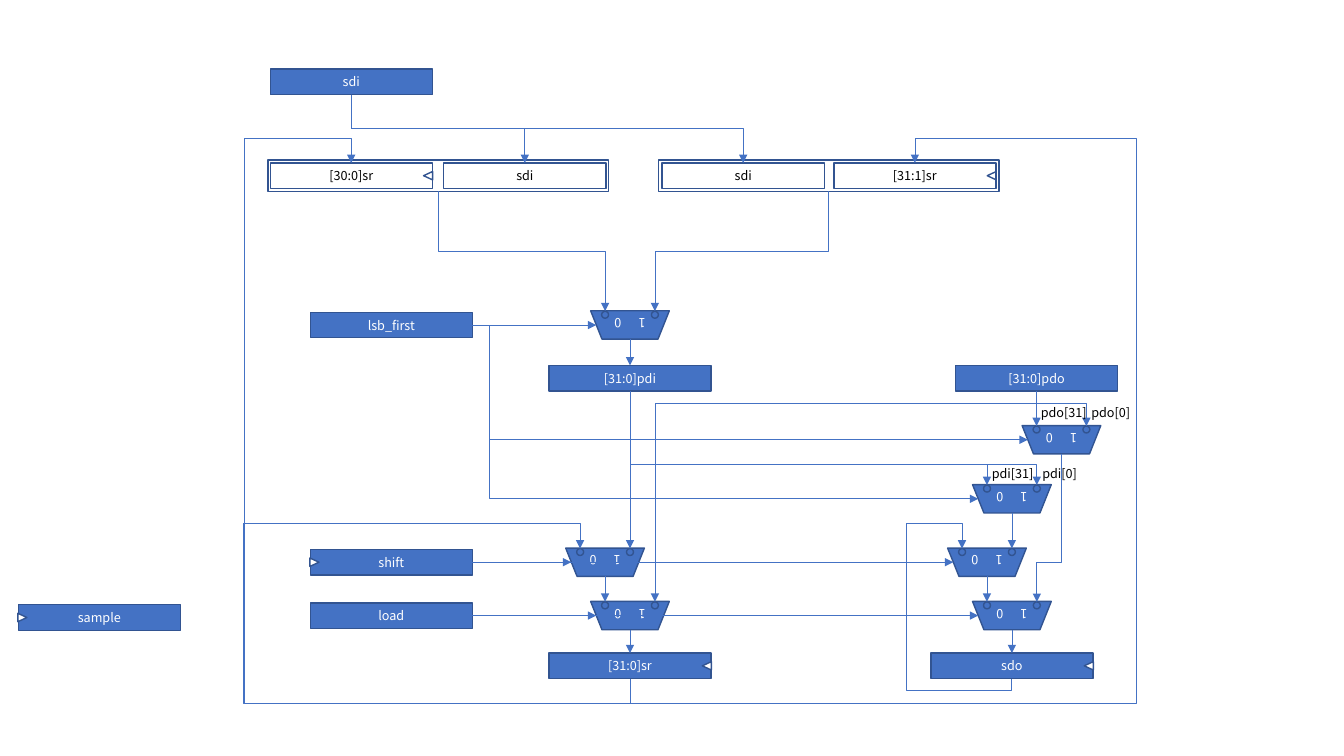
"""Build the shift register block diagram slide."""
from lxml import etree
from pptx import Presentation
from pptx.dml.color import RGBColor
from pptx.enum import shapes, text
from pptx.oxml import ns
from pptx.util import Pt

FONT, SIZE = "Noto Sans CJK KR", 9
BLUE, EDGE, WHITE, BLACK = "4472C4", "325491", "FFFFFF", "000000"
KIND, ALIGN, LINK = shapes.MSO_SHAPE, text.PP_ALIGN, shapes.MSO_CONNECTOR
BOX_W, BOX_H = 115.8, 18.2
MUX_W, MUX_H, PIN, DOT = 56.2, 20.2, 17.8, 5
MARK_W, MARK_H = 6, 6.5

# name: label, left, top, clock mark side
PORTS = {
    "pdo": ("[31:0]pdo", 682.5, 261, None),
    "pdi": ("[31:0]pdi", 392.1, 261, None),
    "lsb": ("lsb_first", 221.6, 223.1, None),
    "load": ("load", 221.6, 430.6, None),
    "shift": ("shift", 221.6, 392.5, "left"),
    "sdo": ("sdo", 664.9, 466.5, "right"),
    "sdi": ("sdi", 193, 49.4, None),
    "sr": ("[31:0]sr", 392.1, 466.5, "right"),
    "sample": ("sample", 13, 432, "left"),
}
PARTS = {
    "low": ("[30:0]sr", 193, 116.4, "right"),
    "last": ("sdi", 317, 116.4, None),
    "first": ("sdi", 473, 116.4, None),
    "high": ("[31:1]sr", 595.6, 116.4, "right"),
}
FRAMES = {"left": (191.4, 114.4), "right": (470.4, 114.4)}
FRAME_W, FRAME_H = 243.2, 22.4
# name: center, top
MUXES = {
    "order": (450, 222),
    "shift": (432.2, 391.5),
    "load": (450, 429.6),
    "keep": (705, 391.5),
    "out": (722.8, 429.6),
    "pdo": (758.2, 304),
    "pdi": (722.8, 346.2),
}
LABELS = [("pdo[31]", 736.4, 285.4), ("pdo[0]", 772.4, 285.4),
          ("pdi[31]", 701.4, 329), ("pdi[0]", 737.4, 329)]


def color(code):
    return RGBColor.from_string(code)


def write(shape, words, ink=WHITE, align=ALIGN.CENTER, inset=7.2, tab=None):
    frame = shape.text_frame
    frame.word_wrap = True
    frame.vertical_anchor = text.MSO_ANCHOR.MIDDLE
    frame.margin_left, frame.margin_right = Pt(inset), Pt(0 if tab else inset)
    frame.margin_top = frame.margin_bottom = 0
    para = frame.paragraphs[0]
    para.alignment = align
    run = para.add_run()
    run.text = words
    run.font.size, run.font.name = Pt(SIZE), FONT
    run.font.color.rgb = color(ink)
    etree.SubElement(run.font._element, ns.qn("a:ea")).set("typeface", FONT)
    if tab:
        stops = etree.SubElement(para._p.get_or_add_pPr(), ns.qn("a:tabLst"))
        etree.SubElement(stops, ns.qn("a:tab"), pos=str(Pt(tab)), algn="l")


def draw(kind, left, top, wide, high, fill=BLUE, turn=0):
    shape = slide.shapes.add_shape(kind, Pt(left), Pt(top), Pt(wide), Pt(high))
    shape.shadow.inherit = False
    shape.rotation = turn
    shape.line.color.rgb, shape.line.width = color(EDGE), Pt(1)
    if fill:
        shape.fill.solid()
        shape.fill.fore_color.rgb = color(fill)
    else:
        shape.fill.background()
    return shape


def block(label, left, top, side, fill, ink, mark):
    body = draw(KIND.RECTANGLE, left, top, BOX_W, BOX_H, fill)
    write(body, label, ink=ink)
    if side:
        edge = left if side == "left" else left + BOX_W - MARK_W
        draw(KIND.ISOSCELES_TRIANGLE, edge, top + (BOX_H - MARK_H) / 2,
             MARK_W, MARK_H, mark, 90 if side == "left" else 270)
    mid = left + BOX_W / 2
    return {"head": (body, 0, mid, top), "foot": (body, 2, mid, top + BOX_H),
            "side": (body, 3, left + BOX_W, top + BOX_H / 2)}


def frame(left, top):
    body = draw(KIND.RECTANGLE, left, top, FRAME_W, FRAME_H, None)
    return body, 2, left + FRAME_W / 2, top + FRAME_H


def mux(mid, top):
    left = mid - MUX_W / 2
    body = draw(KIND.TRAPEZOID, left, top, MUX_W, MUX_H, turn=180)
    body.adjustments[0] = 0.4
    write(body, "1\t0", align=ALIGN.LEFT, inset=11.6, tab=17.2)
    ends = {"foot": (body, 0, mid, top + MUX_H),
            "gate": (body, 3, left + 4, top + MUX_H / 2)}
    for bit, spot in enumerate((mid - PIN, mid + PIN)):
        dot = draw(KIND.OVAL, spot - DOT / 2, top + 0.3, DOT, DOT, turn=180)
        ends[bit] = (dot, 4, spot, top + 0.3)
    return ends


def wire(start, end, *bends, across=False):
    (*first, x1, y1), (*last, x2, y2) = start, end
    dx, dy = x2 - x1, y2 - y1
    if not bends:
        x2, y2 = (x2, y1) if across else (x1, y2)
    spots, turn = (x1, y1, x2, y2), 0
    if bends and not across:
        mid_x, mid_y = (x1 + x2) / 2, (y1 + y2) / 2
        wide, high = abs(dy) / 2, abs(dx) / 2
        right, down = dx > 0, dy > 0
        turn = 270 if right and down else 90
        if right or not down:
            wide = -wide
        if right and not down:
            high = -high
        spots = (mid_x - wide, mid_y - high, mid_x + wide, mid_y + high)
    line = slide.shapes.add_connector(
        LINK.ELBOW if bends else LINK.STRAIGHT, *map(Pt, spots))
    line.rotation = turn
    line.line.color.rgb, line.line.width = color(BLUE), Pt(0.5)
    props = line._element.spPr
    etree.SubElement(props.find(ns.qn("a:ln")), ns.qn("a:tailEnd"), type="triangle")
    etree.SubElement(props, ns.qn("a:effectLst"))
    glue = line._element.nvCxnSpPr.cNvCxnSpPr
    for tag, (shape, site) in (("a:stCxn", first), ("a:endCxn", last)):
        etree.SubElement(glue, ns.qn(tag), id=str(shape.shape_id), idx=str(site))
    if bends:
        shape = props.find(ns.qn("a:prstGeom"))
        shape.set("prst", f"bentConnector{len(bends) + 2}")
        guides = shape.find(ns.qn("a:avLst"))
        for count, bend in enumerate(bends):
            flat = across != (count % 2 == 1)
            ratio = (bend - x1) / dx if flat else (bend - y1) / dy
            name = f"adj{count + 1}" if len(bends) > 1 else "adj1"
            etree.SubElement(guides, ns.qn("a:gd"), name=name,
                             fmla=f"val {round(ratio * 100000)}")


deck = Presentation()
deck.slide_width, deck.slide_height = Pt(960), Pt(540)
slide = deck.slides.add_slide(deck.slide_layouts[6])

port = {key: block(*row, BLUE, WHITE, WHITE) for key, row in PORTS.items()}
part = {key: block(*row, None, BLACK, None) for key, row in PARTS.items()}
base = {key: frame(*row) for key, row in FRAMES.items()}
gates = {key: mux(*row) for key, row in MUXES.items()}

for name in ("last", "first"):
    wire(port["sdi"]["foot"], part[name]["head"], 92)
for bit, side in enumerate(FRAMES):
    wire(base[side], gates["order"][bit], 179.3)
for name, end in [("order", port["pdi"]["head"]), ("shift", gates["load"][0]),
                  ("load", port["sr"]["head"]), ("pdi", gates["keep"][1]),
                  ("keep", gates["out"][0]), ("out", port["sdo"]["head"])]:
    wire(gates[name]["foot"], end)
wire(gates["pdo"]["foot"], gates["out"][1], 401.6)
wire(port["pdo"]["foot"], gates["pdo"][0])
for end in (gates["load"][1], gates["pdo"][1]):
    wire(port["pdo"]["foot"], end, 288)
wire(port["pdi"]["foot"], gates["shift"][1])
for bit in (0, 1):
    wire(port["pdi"]["foot"], gates["pdi"][bit], 331.7)

for name, ends in [("lsb", ["order"]), ("shift", ["shift", "keep"]),
                   ("load", ["load", "out"])]:
    for end in ends:
        wire(port[name]["side"], gates[end]["gate"], across=True)
for end in ("pdo", "pdi"):
    wire(port["lsb"]["side"], gates[end]["gate"], 349.6, across=True)

for name, end, *bends in [
        ("sr", gates["shift"][0], 502.4, 174.2, 373.7),
        ("sr", part["low"]["head"], 502.4, 174.2, 98.6),
        ("sr", part["high"]["head"], 502.4, 811.6, 98.6),
        ("sdo", gates["keep"][0], 493, 647.4, 373.7)]:
    wire(port[name]["foot"], end, *bends)

for words, left, top in LABELS:
    note = slide.shapes.add_textbox(Pt(left), Pt(top), Pt(56.2), Pt(BOX_H))
    write(note, words, ink=BLACK, align=ALIGN.LEFT)

deck.save("out.pptx")
